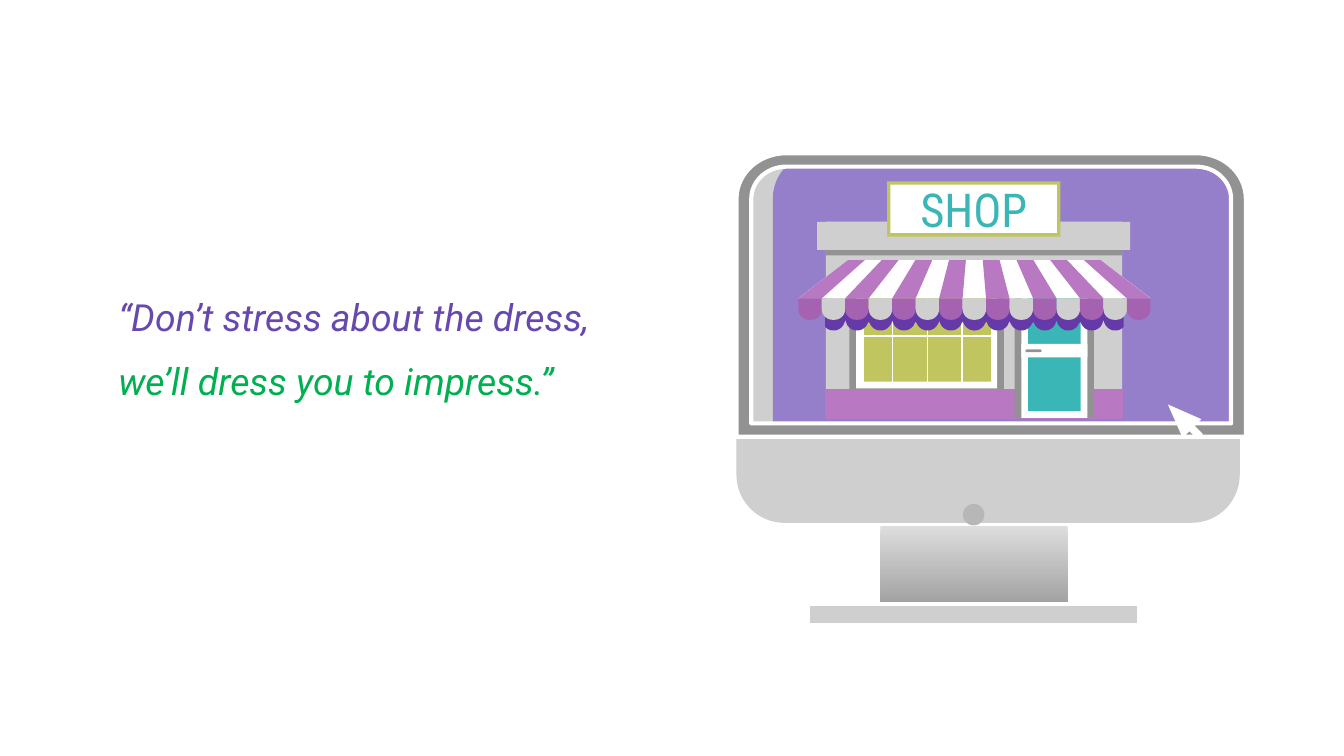
from math import cos, radians, sin, sqrt

from lxml.etree import SubElement
from pptx import Presentation
from pptx.dml.color import RGBColor
from pptx.enum.shapes import MSO_CONNECTOR, MSO_SHAPE
from pptx.enum.text import MSO_ANCHOR, MSO_AUTO_SIZE, PP_ALIGN
from pptx.oxml.ns import qn
from pptx.util import Inches, Pt

# Theme: colours, fonts and type sizes
THEME = {
    "white": "FFFFFF", "silver": "CFCFCF", "grey": "929292", "knob": "B7B7B7",
    "stand_light": "DDDDDD", "stand_dark": "919191",
    "lilac": "957FCA", "orchid": "B878C2", "plum": "A562B0", "violet": "6639A8",
    "teal": "39B6B5", "olive": "C0C55F", "indigo": "6648AE", "green": "00B050",
    "quote_font": "Roboto", "quote_size": 20,
    "sign_font": "Roboto Condensed", "sign_size": 25,
}

# A 16:9 slide as a grid of 1000 columns of square cells; every place below is in cells
SLIDE_WIDTH = Inches(10)
SLIDE_HEIGHT = SLIDE_WIDTH * 9 // 16
CELL = SLIDE_WIDTH // 1000

# Text content
QUOTE = [("“Don’t stress about the dress,", "indigo", 0),
         ("we’ll dress you to impress.”", "green", 10)]
QUOTE_BOX = (88, 213.5, 418, 92)
SIGN = "SHOP"
SIGN_BOX = (660, 136, 129, 39)

# Preset parts, back to front: form, (left, top, width, height), fill, outline, adjustments
RECT, ROUNDED = MSO_SHAPE.RECTANGLE, MSO_SHAPE.ROUNDED_RECTANGLE
HALF_ROUNDED = MSO_SHAPE.ROUND_2_SAME_RECTANGLE
MONITOR = [
    (RECT, (655, 391.5, 139.5, 73), ("stand_light", "stand_dark"), None, ()),
    (RECT, (601, 449.5, 246.5, 16), "silver", ("white", 2.25), ()),
    (ROUNDED, (548, 114, 374.5, 275), "silver", None, (0.13,)),
    (HALF_ROUNDED, (575, 114, 347.5, 211), "lilac", None, (0.16, 0)),
    (MSO_SHAPE.OVAL, (716.5, 375, 16, 16), "knob", None, ()),
]
SHOP_FRONT = [
    (RECT, (614.5, 165, 220.5, 146), "silver", None, ()),            # wall
    (RECT, (632, 206, 115, 88), "grey", None, ()),                   # window
    (RECT, (637, 211, 105, 78), "white", None, ()),
    (RECT, (643, 216, 94.5, 68), "olive", None, ()),
    (RECT, (614.5, 290, 220.5, 21), "orchid", ("orchid", 0.75), ()),  # plinth
    (RECT, (755, 196, 59, 115), "grey", None, ()),                   # door
    (RECT, (760, 194, 49, 117), "white", None, ()),
    (RECT, (765, 199, 39, 107), "teal", None, ()),
    (RECT, (760, 256, 49, 10), "white", None, ()),
    (ROUNDED, (763, 260, 12, 2), "grey", None, (0.5,)),              # handle
    (RECT, (614.5, 172, 220.5, 18), "grey", None, ()),               # cornice
    (RECT, (608, 165, 233, 21), "silver", None, ()),
    (RECT, (662, 136, 126, 39), "white", None, ()),                  # sign
    (MSO_SHAPE.FRAME, (660, 135, 129, 41), "olive", None, (0.06,)),
]
GLAZING_BARS = [(740, 250, 639, 250)] + [(x, 288, x, 208) for x in (664, 690, 716)]

# Outlined parts
BEZEL = [(548, 114, 927, 325, 37, 34), (559, 124, 916, 315, 26, 24)]
STRIPES = 15
AWNING_TOP, AWNING_BOTTOM = (631, 819, 193.5), (594, 856, 222)
SCALLOP_HEIGHT = 16
SHADE = {"left": 614, "right": 836, "top": 230, "dip": 237, "depth": 9}
POINTER = [(869, 301), (880, 326), (885, 321), (891, 327), (895, 323), (889, 317), (894, 312)]

deck = Presentation()
deck.slide_width, deck.slide_height = SLIDE_WIDTH, SLIDE_HEIGHT
slide = deck.slides.add_slide(deck.slide_layouts[0])


def colour(key):
    return RGBColor.from_string(THEME[key])


def cells(values):
    return [round(value * CELL) for value in values]


def paint(part, fill, outline=None):
    part.shadow.inherit = False
    if isinstance(fill, tuple):
        part.fill.gradient()
        part.fill.gradient_angle = 270
        for stop, key in zip(part.fill.gradient_stops, fill):
            stop.color.rgb = colour(key)
    else:
        part.fill.solid()
        part.fill.fore_color.rgb = colour(fill)
    if outline:
        part.line.color.rgb = colour(outline[0])
        part.line.width = Pt(outline[1])
    else:
        part.line.fill.background()


def add_preset(form, box, fill, outline, adjustments):
    part = slide.shapes.add_shape(form, *cells(box))
    for index, value in enumerate(adjustments):
        part.adjustments[index] = value
    paint(part, fill, outline)


def add_outline(contours, fill, outline=None):
    contours = [[cells(point) for point in contour] for contour in contours]
    builder = slide.shapes.build_freeform(*contours[0][0], scale=1.0)
    for index, contour in enumerate(contours):
        if index:
            builder.move_to(*contour[0])
        builder.add_line_segments(contour[1:], close=True)
    paint(builder.convert_to_shape(), fill, outline)


def rounded_top(left, top, right, bottom, rx, ry):
    points = [(left, bottom)]
    for centre, start in ((left + rx, 180), (right - rx, 270)):
        points += [(centre + rx * cos(radians(a)), top + ry + ry * sin(radians(a)))
                   for a in range(start, start + 91, 6)]
    return points + [(right, bottom)]


def division(edge, index):
    left, right, row = edge
    return left + (right - left) * index / STRIPES, row


def format_text(holder, box, lines, align, font):
    holder.left, holder.top, holder.width, holder.height = cells(box)
    frame = holder.text_frame
    frame_format = {"margin_left": 0, "margin_right": 0, "margin_top": Inches(0.1),
                    "margin_bottom": Inches(0.1), "word_wrap": True,
                    "auto_size": MSO_AUTO_SIZE.NONE, "vertical_anchor": MSO_ANCHOR.MIDDLE}
    for name, value in frame_format.items():
        setattr(frame, name, value)
    frame.text = "\n".join(text for text, _, _ in lines)
    for paragraph, (_, key, gap) in zip(frame.paragraphs, lines):
        paragraph.alignment = align
        paragraph.space_before = Pt(gap)
        run_font = paragraph.runs[0].font
        for name, value in font.items():
            setattr(run_font, name, value)
        run_font.color.rgb = colour(key)


# Quote
format_text(slide.placeholders[1], QUOTE_BOX, QUOTE, PP_ALIGN.LEFT,
            {"name": THEME["quote_font"], "size": Pt(THEME["quote_size"]), "italic": True})

# Monitor and shop front
for preset in MONITOR:
    add_preset(*preset)
add_outline([rounded_top(*edge) for edge in BEZEL], "grey", ("white", 2.25))
for preset in SHOP_FRONT:
    add_preset(*preset)
for ends in GLAZING_BARS:
    bar = slide.shapes.add_connector(MSO_CONNECTOR.STRAIGHT, *cells(ends))
    bar.line.color.rgb = colour("white")
    bar.line.width = Pt(0.85)
    SubElement(bar.element.spPr, qn("a:effectLst"))

# Scalloped shade under the awning
pitch = (AWNING_BOTTOM[1] - AWNING_BOTTOM[0]) / STRIPES
shade_edge = []
for column in range(SHADE["left"], SHADE["right"] + 1):
    across = (column - AWNING_BOTTOM[0]) / pitch % 1 * 2 - 1
    shade_edge.append((column, SHADE["dip"] + SHADE["depth"] * sqrt(1 - across ** 2)))
add_outline([[(SHADE["left"], SHADE["top"]), *shade_edge, (SHADE["right"], SHADE["top"])]],
            "violet")

# Awning: white canvas, coloured stripes, hanging scallops
canvas_spans = [(0, STRIPES, "white")]
canvas_spans += [(i, i + 1, "orchid") for i in range(0, STRIPES, 2)]
for first, last, key in canvas_spans:
    add_outline([[division(AWNING_TOP, first), division(AWNING_BOTTOM, first),
                  division(AWNING_BOTTOM, last), division(AWNING_TOP, last)]], key)
for index in range(STRIPES):
    add_preset(HALF_ROUNDED, (*division(AWNING_BOTTOM, index), pitch, SCALLOP_HEIGHT),
               "silver" if index % 2 else "plum", None, (0, 0.5))

# Pointer
add_outline([POINTER], "white")

# Sign text, brought to the front
title = slide.shapes.title
format_text(title, SIGN_BOX, [(SIGN, "teal", 0)], PP_ALIGN.CENTER,
            {"name": THEME["sign_font"], "size": Pt(THEME["sign_size"])})
title.element.getparent().append(title.element)

deck.save("out.pptx")
